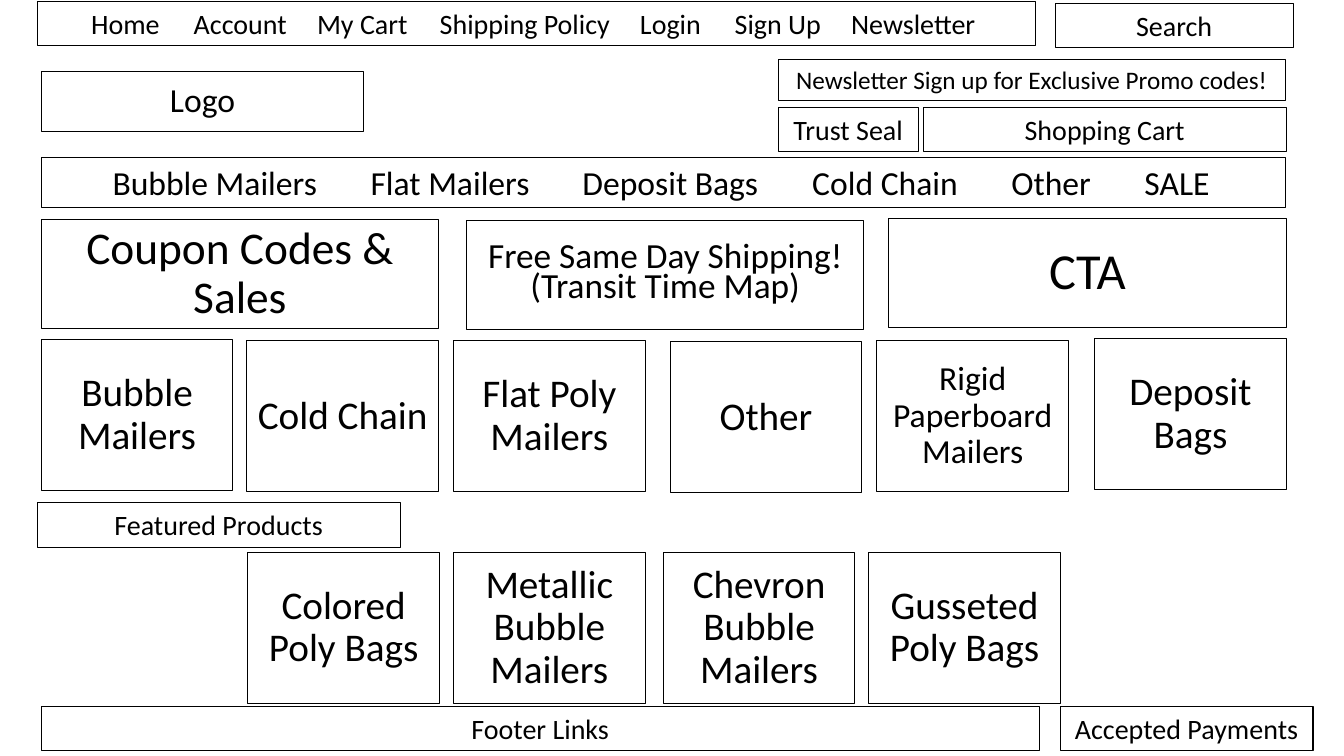
"""Build a wireframe slide of an online store's home page."""
from dataclasses import dataclass

from lxml.etree import SubElement
from pptx import Presentation
from pptx.dml.color import RGBColor
from pptx.enum.shapes import MSO_SHAPE
from pptx.enum.text import MSO_ANCHOR as ANCHOR, MSO_AUTO_SIZE as AUTO, PP_ALIGN as ALIGN
from pptx.oxml.ns import qn
from pptx.shapes.autoshape import Shape
from pptx.slide import Slide
from pptx.util import Pt

BLACK = RGBColor(0, 0, 0)
FONT = "Calibri"
LEFT = 29.5
EDGE = 26.6
BAR_H = 31.7
BANNER_W, BANNER_H = 283.7, 77.8
TILE_W, TILE_H = 136.8, 108


@dataclass(frozen=True)
class Box:
    """A bordered block of the page, in points."""
    left: float
    top: float
    width: float
    height: float
    lines: tuple[str, ...]
    size: float = 20
    spacing: float = 1.0
    anchor: ANCHOR = ANCHOR.TOP


@dataclass(frozen=True)
class Menu:
    """A bar whose items start at the given tab stops."""
    box: Box
    items: tuple[tuple[str, float], ...]


def bar(left: float, top: float, width: float, text: str) -> Box:
    """Describe a one-line bar."""
    return Box(left, top, width, BAR_H, (text,))


def banner(left: float, top: float, lines: tuple[str, ...], size: float,
           spacing: float = 0.9) -> Box:
    """Describe a promotion banner."""
    return Box(left, top, BANNER_W, BANNER_H, lines, size, spacing, ANCHOR.MIDDLE)


def tile(left: float, top: float, text: str, size: float = 28) -> Box:
    """Describe a product tile."""
    return Box(left, top, TILE_W, TILE_H, (text,), size, 0.9, ANCHOR.MIDDLE)


COUPONS = banner(LEFT, 157, ("Coupon Codes & Sales",), 32.4)
BOXES = (
    Box(LEFT, 51.1, 230.4, 43.2, ("Logo",), 24, 0.9, ANCHOR.MIDDLE),
    banner(333.4, 157.4, ("Free Same Day Shipping!", "(Transit Time Map)"), 25.2, 0.7),
    banner(635, 156.2, ("CTA",), 36),
    bar(753.8, 2.2, 169.9, "Search"),
    Box(555.8, 42.5, 362.4, 29.1, ("Newsletter Sign up for Exclusive Promo codes!",), 18),
    bar(555.8, 76.7, 100.1, "Trust Seal"),
    bar(659.5, 76.5, 259.2, "Shopping Cart"),
    tile(LEFT, 242.6, "Bubble Mailers"),
    tile(176.4, 243.4, "Cold Chain"),
    tile(324, 243.4, "Flat Poly Mailers"),
    tile(478.8, 244.1, "Other"),
    tile(626.4, 243.4, "Rigid Paperboard Mailers", 24),
    tile(781.9, 241.9, "Deposit Bags"),
    bar(EDGE, 359.3, 259.2, "Featured Products"),
    tile(177.1, 394.6, "Colored Poly Bags"),
    tile(324, 394.6, "Metallic Bubble Mailers"),
    tile(473.8, 394.6, "Chevron Bubble Mailers"),
    tile(620.6, 394.6, "Gusseted Poly Bags"),
    bar(LEFT, 504.7, 712.8, "Footer Links"),
    bar(757.2, 504.7, 180.7, "Accepted Payments"),
)
MENUS = (
    Menu(Box(EDGE, 0.9, 712.8, BAR_H, ()),
         (("Home", 31.4), ("Account", 104.7), ("My Cart", 192.8),
          ("Shipping Policy", 280.4), ("Login", 423.5), ("Sign Up", 491.1),
          ("Newsletter", 574.3))),
    Menu(Box(LEFT, 112.2, 888.5, 36.4, (), 24),
         (("Bubble Mailers", 43.8), ("Flat Mailers", 228.1), ("Deposit Bags", 379.5),
          ("Cold Chain", 543.6), ("Other", 685.8), ("SALE", 780.9))),
)


def format_box(sp: Shape, box: Box, lines: tuple[str, ...], align: ALIGN) -> None:
    """Place the shape, outline it and write its lines."""
    sp.left, sp.top = Pt(box.left), Pt(box.top)
    sp.width, sp.height = Pt(box.width), Pt(box.height)
    sp.fill.background()
    sp.line.color.rgb = BLACK
    sp.line.width = Pt(0.75)
    sp.shadow.inherit = False
    tf = sp.text_frame
    tf.auto_size = AUTO.NONE
    tf.word_wrap = True
    tf.vertical_anchor = box.anchor
    for i, text in enumerate(lines):
        p = tf.add_paragraph() if i else tf.paragraphs[0]
        p.alignment = align
        p.line_spacing = box.spacing
        p.space_before = Pt(0)
        r = p.add_run()
        r.text = text
        r.font.name = FONT
        r.font.size = Pt(box.size)
        r.font.color.rgb = BLACK


def draw_box(s: Slide, box: Box) -> None:
    """Draw a box with centred text."""
    sp = s.shapes.add_shape(MSO_SHAPE.RECTANGLE, 0, 0, 0, 0)
    format_box(sp, box, box.lines, ALIGN.CENTER)


def draw_menu(s: Slide, menu: Menu) -> None:
    """Draw a menu bar with one left tab stop per item."""
    sp = s.shapes.add_shape(MSO_SHAPE.RECTANGLE, 0, 0, 0, 0)
    text = "".join(f"\t{item}" for item, _ in menu.items)
    format_box(sp, menu.box, (text,), ALIGN.LEFT)
    props = sp.text_frame.paragraphs[0]._p.get_or_add_pPr()
    tabs = SubElement(props, qn("a:tabLst"))
    for _, stop in menu.items:
        SubElement(tabs, qn("a:tab"), pos=str(int(Pt(stop))), algn="l")


def main() -> None:
    """Build and save the slide."""
    prs = Presentation()
    prs.slide_width, prs.slide_height = Pt(960), Pt(540)
    s = prs.slides.add_slide(prs.slide_layouts[5])
    format_box(s.shapes.title, COUPONS, COUPONS.lines, ALIGN.CENTER)
    for box in BOXES:
        draw_box(s, box)
    for menu in MENUS:
        draw_menu(s, menu)
    prs.save("out.pptx")


main()
